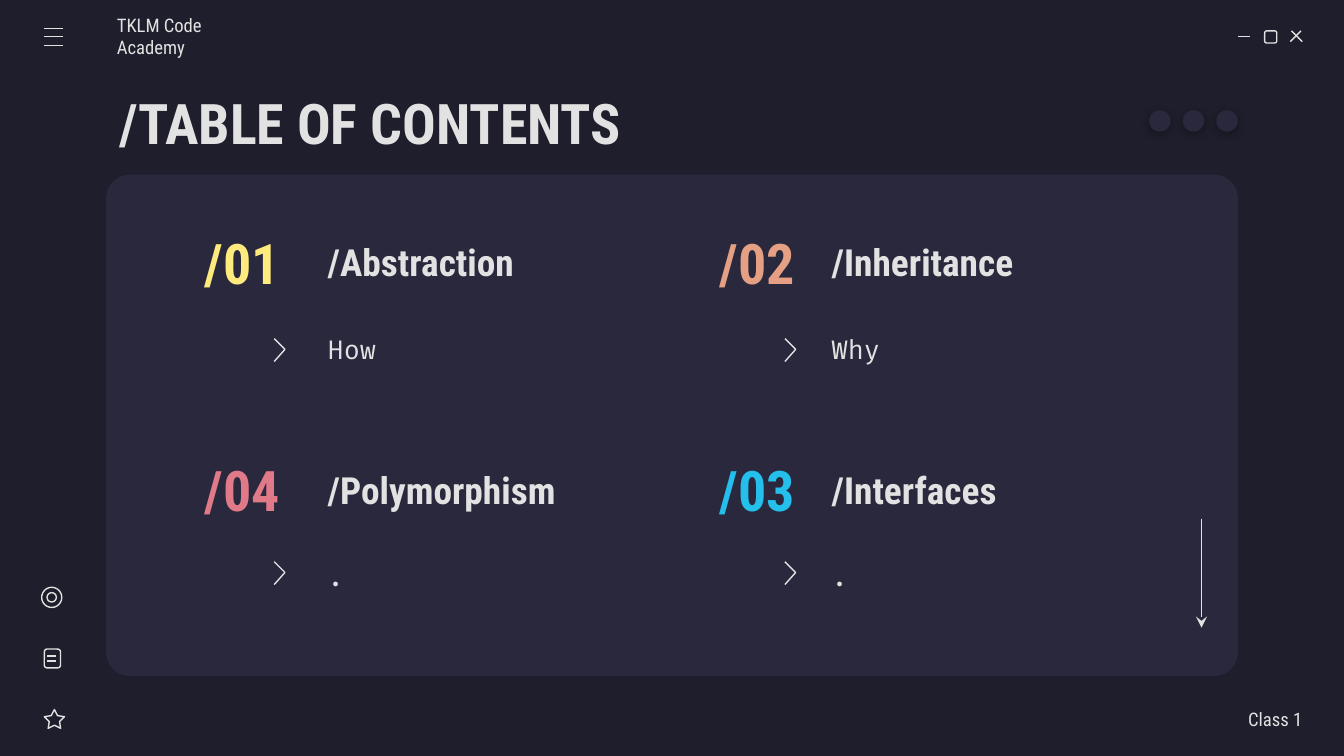
import dataclasses

import pptx
import pptx.dml.color
import pptx.enum.shapes
import pptx.enum.text
import pptx.oxml
import pptx.oxml.ns
import pptx.util
from pptx.util import Inches

SHAPE = pptx.enum.shapes.MSO_SHAPE
ALIGN = pptx.enum.text.PP_ALIGN
A_NAMESPACE = pptx.oxml.ns.nsdecls("a")


@dataclasses.dataclass(frozen=True)
class Theme:
    background: str = "1E1E2C"
    panel: str = "29283D"
    light: str = "E2E2E2"
    yellow: str = "FFEA7D"
    orange: str = "E5A083"
    pink: str = "E07A88"
    blue: str = "24BFEB"
    heading_font: str = "Roboto Condensed"
    code_font: str = "Fira Code"
    title_size: int = 30
    topic_size: int = 20
    detail_size: int = 14
    label_size: int = 10
    stroke: float = 0.75


THEME = Theme()


def rgb(color):
    return pptx.dml.color.RGBColor.from_string(color)


def style_line(line):
    line.color.rgb = rgb(THEME.light)
    line.width = pptx.util.Pt(THEME.stroke)


def write_text(shape, text, size, color=THEME.light, font=THEME.heading_font,
               bold=False, align=ALIGN.LEFT, left_inset=0.1, right_inset=0.1):
    frame = shape.text_frame
    frame.text = text
    frame.word_wrap = True
    frame.auto_size = pptx.enum.text.MSO_AUTO_SIZE.NONE
    frame.vertical_anchor = pptx.enum.text.MSO_ANCHOR.MIDDLE
    frame.margin_left, frame.margin_right = Inches(left_inset), Inches(right_inset)
    frame.margin_top = frame.margin_bottom = Inches(0.1)
    paragraph = frame.paragraphs[0]
    paragraph.alignment = align
    run_font = paragraph.runs[0].font
    run_font.name, run_font.size, run_font.bold = font, pptx.util.Pt(size), bold
    run_font.color.rgb = rgb(color)


def add_text(slide, left, top, width, height, text, size, **style):
    box = slide.shapes.add_textbox(*map(Inches, (left, top, width, height)))
    write_text(box, text, size, **style)


def set_title(slide, text):
    title = slide.shapes.title
    title.left, title.top = Inches(0.79), Inches(0.59)
    title.width, title.height = Inches(8.42), Inches(0.63)
    write_text(title, text, THEME.title_size, bold=True)


def add_line(slide, x1, y1, x2, y2, arrow=False):
    connector = slide.shapes.add_connector(
        pptx.enum.shapes.MSO_CONNECTOR.STRAIGHT, *map(Inches, (x1, y1, x2, y2)))
    style_line(connector.line)
    properties = connector._element.spPr
    if arrow:
        properties.find(pptx.oxml.ns.qn("a:ln")).append(
            pptx.oxml.parse_xml(f'<a:tailEnd {A_NAMESPACE} type="stealth"/>'))
    properties.append(pptx.oxml.parse_xml(f"<a:effectLst {A_NAMESPACE}/>"))


def add_shape(slide, kind, left, top, width, height, fill=None, corner=None):
    """Add a filled shape without outline, or an outline without fill."""
    shape = slide.shapes.add_shape(kind, *map(Inches, (left, top, width, height)))
    shape.shadow.inherit = False
    if corner is not None:
        shape.adjustments[0] = corner
    if fill:
        shape.fill.solid()
        shape.fill.fore_color.rgb = rgb(fill)
        shape.line.fill.background()
    else:
        shape.fill.background()
        style_line(shape.line)
    return shape


def add_dot(slide, left):
    dot = add_shape(slide, SHAPE.OVAL, left, 0.82, 0.16, 0.16, fill=THEME.panel)
    effects = dot._element.spPr.find(pptx.oxml.ns.qn("a:effectLst"))
    effects.append(pptx.oxml.parse_xml(
        f'<a:outerShdw {A_NAMESPACE} blurRad="57150" dist="19050" dir="5400000" '
        'algn="bl" rotWithShape="0"><a:srgbClr val="000000">'
        '<a:alpha val="30000"/></a:srgbClr></a:outerShdw>'))


def add_chevron(slide, left, top):
    builder = slide.shapes.build_freeform(Inches(left), Inches(top))
    builder.add_line_segments(
        [(Inches(left + 0.08), Inches(top + 0.08)), (Inches(left), Inches(top + 0.17))],
        close=False)
    chevron = builder.convert_to_shape()
    chevron.shadow.inherit = False
    chevron.fill.background()
    style_line(chevron.line)


def add_topic(slide, columns, rows, number, color, topic, detail, topic_width):
    number_left, text_left, chevron_left = columns
    top, chevron_top = rows
    add_text(slide, text_left, top, topic_width, 0.56, topic, THEME.topic_size, bold=True)
    add_text(slide, number_left, top, 0.91, 0.56, number, THEME.title_size,
             color=color, bold=True, align=ALIGN.CENTER)
    add_text(slide, text_left, top + 0.55, 2.55, 0.75, detail, THEME.detail_size,
             font=THEME.code_font)
    add_chevron(slide, chevron_left, chevron_top)


def add_window_buttons(slide):
    add_line(slide, 9.21, 0.27, 9.3, 0.27)
    add_shape(slide, SHAPE.ROUNDED_RECTANGLE, 9.41, 0.23, 0.09, 0.09, corner=0.167)
    add_line(slide, 9.61, 0.23, 9.69, 0.31)
    add_line(slide, 9.68, 0.23, 9.6, 0.31)


def add_side_icons(slide):
    # Menu
    for y in (0.21, 0.27, 0.34):
        add_line(slide, 0.33, y, 0.47, y)
    # Target
    add_shape(slide, SHAPE.OVAL, 0.31, 4.37, 0.15, 0.15)
    add_shape(slide, SHAPE.OVAL, 0.35, 4.41, 0.07, 0.07)
    # Document
    add_shape(slide, SHAPE.ROUNDED_RECTANGLE, 0.33, 4.83, 0.12, 0.14, corner=0.167)
    for y in (4.88, 4.92):
        add_line(slide, 0.35, y, 0.42, y)
    # Star
    add_shape(slide, SHAPE.STAR_5_POINT, 0.33, 5.28, 0.15, 0.14, corner=0.254)


def main():
    presentation = pptx.Presentation()
    presentation.slide_width = Inches(10)
    presentation.slide_height = Inches(10 * 9 / 16)
    slide = presentation.slides.add_slide(presentation.slide_layouts[5])
    slide.background.fill.solid()
    slide.background.fill.fore_color.rgb = rgb(THEME.background)

    # Window frame
    add_shape(slide, SHAPE.ROUNDED_RECTANGLE, 0.79, 1.3, 8.42, 3.73,
              fill=THEME.panel, corner=0.047)
    add_window_buttons(slide)
    add_side_icons(slide)
    for index in range(3):
        add_dot(slide, 8.55 + 0.25 * index)

    # Title and labels
    set_title(slide, "/TABLE OF CONTENTS")
    add_text(slide, 0.87, 0.12, 1.17, 0.3, "TKLM Code Academy", THEME.label_size,
             left_inset=0)
    add_text(slide, 8.52, 5.2, 1.17, 0.3, "Class 1", THEME.label_size,
             align=ALIGN.RIGHT, right_inset=0)

    # Topics: number, text and chevron columns; text and chevron rows
    left, right = (1.35, 2.34, 2.04), (5.18, 6.09, 5.84)
    upper, lower = (1.67, 2.52), (3.36, 4.18)
    add_topic(slide, left, upper, "/01", THEME.yellow, "/Abstraction", "How", 2.55)
    add_topic(slide, right, upper, "/02", THEME.orange, "/Inheritance", "Why", 2.55)
    add_topic(slide, left, lower, "/04", THEME.pink, "/Polymorphism", ".", 2.66)
    add_topic(slide, right, lower, "/03", THEME.blue, "/Interfaces", ".", 2.66)

    # Scroll arrow
    add_line(slide, 8.94, 3.86, 8.94, 4.67, arrow=True)

    presentation.save("out.pptx")


if __name__ == "__main__":
    main()
